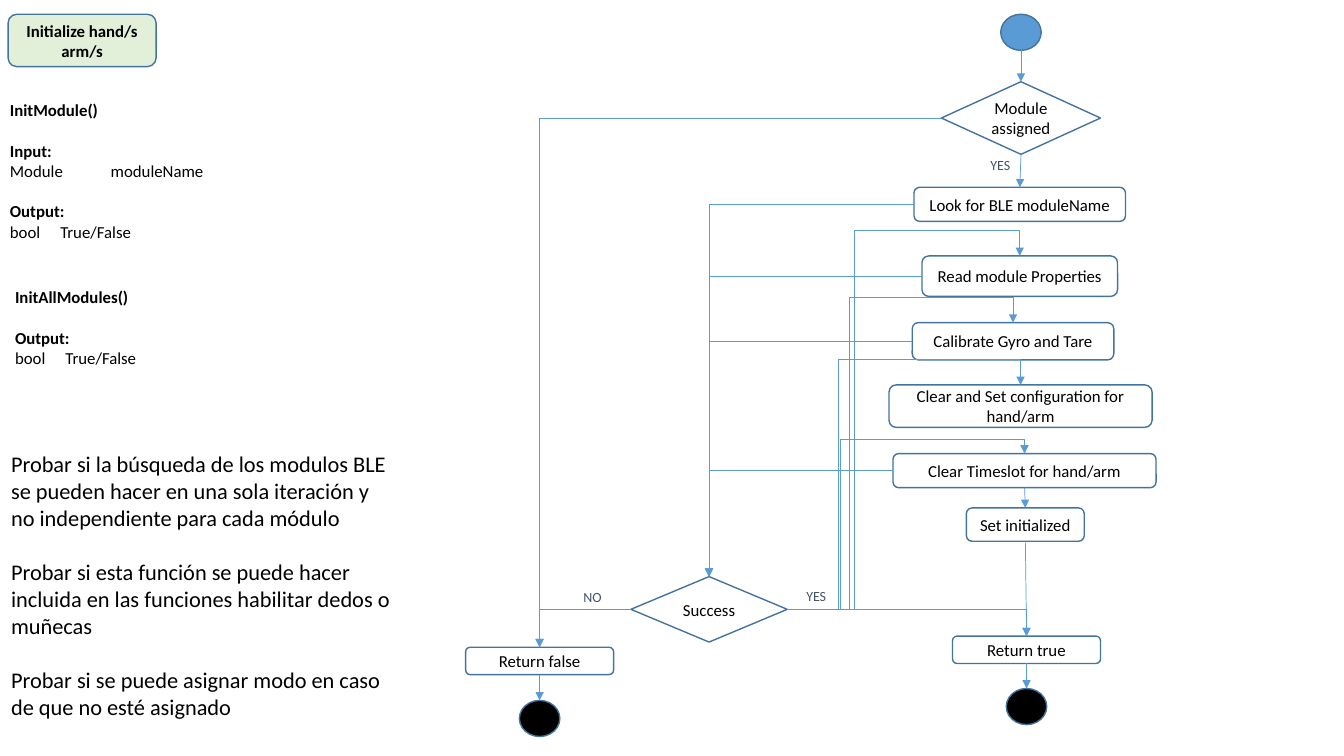
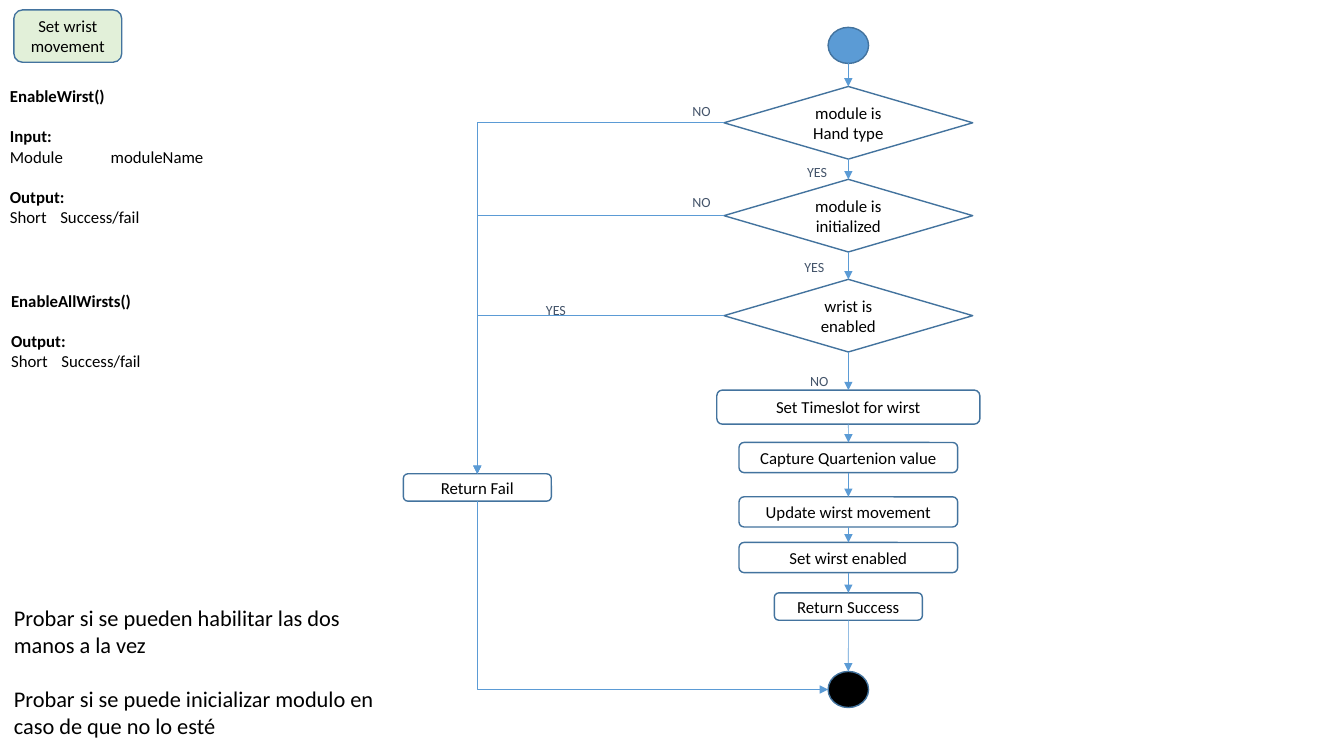
"""Build two flowchart slides: module initialisation and wrist movement."""
from dataclasses import dataclass
from itertools import pairwise

from lxml import etree
from pptx import Presentation
from pptx.dml.color import RGBColor
from pptx.enum import shapes, text
from pptx.oxml import ns
from pptx.util import Cm, Pt


@dataclass(frozen=True)
class Theme:
    font: str = "Calibri"
    ink: RGBColor = RGBColor.from_string("000000")
    label_ink: RGBColor = RGBColor.from_string("44546A")
    outline: RGBColor = RGBColor.from_string("43739E")
    accent: RGBColor = RGBColor.from_string("5B9BD5")
    heading_fill: RGBColor = RGBColor.from_string("E2F0D9")
    body: int = 12
    note: int = 16
    label: int = 10
    leading: float = 1.22


theme = Theme()
TOP, LEFT, BOTTOM, RIGHT = range(4)
DOWN, UP = "tailEnd", "headEnd"
box, diamond, oval = (shapes.MSO_SHAPE.ROUNDED_RECTANGLE, shapes.MSO_SHAPE.DIAMOND,
                      shapes.MSO_SHAPE.OVAL)
looks = {
    "heading": (box, theme.heading_fill, False),
    "bold heading": (box, theme.heading_fill, True),
    "step": (box, None, False),
    "test": (diamond, None, False),
    "start": (oval, theme.accent, False),
    "end": (oval, theme.ink, False),
}
dot = (1.02, 0.91)
small = (3.73, 0.69)
wide = (6.63, 0.86)
medium = (5.51, 0.76)
question = (6.27, 1.83)
axis = 21.38

init_steps = ["Look for BLE moduleName", "Read module Properties",
              "Calibrate Gyro and Tare", "Clear Timeslot for hand/arm"]
wrist_tests = ["module is Hand type", "module is initialized", "wrist is enabled"]
wrist_steps = ["Set Timeslot for wirst", "Capture Quartenion value",
               "Update wirst movement", "Set wirst enabled", "Return Success"]

deck = [
    dict(
        nodes=[
            ("bold heading", "Initialize hand/s arm/s", 2.07, 0.36, 3.73, 1.32),
            ("start", "start", 25.73, 0.36, *dot),
            ("test", "Module assigned", 25.73, 2.06, 4.01, 1.83),
            ("step", init_steps[0], 25.7, 4.72, 5.33, 0.86),
            ("step", init_steps[1], 25.7, 6.45, 4.93, 1.02),
            ("step", init_steps[2], 25.53, 8.13, 5.08, 0.94),
            ("step", "Clear and Set configuration for hand/arm", 25.72, 9.7, 6.63, 1.07),
            ("step", init_steps[3], 25.82, 11.43, *wide),
            ("step", "Set initialized", 25.84, 12.8, 2.97, 0.84),
            ("test", "Success", 17.87, 14.53, 3.94, 1.65),
            ("step", "Return true", 25.87, 16.03, *small),
            ("step", "Return false", 13.6, 16.31, *small),
            ("end", "end true", 25.87, 17.35, *dot),
            ("end", "end false", 13.6, 17.65, *dot),
        ],
        chains=[
            ["start", "Module assigned", init_steps[0]],
            [init_steps[3], "Set initialized", "Return true", "end true"],
            ["Return false", "end false"],
        ],
        bends=[
            *((step, LEFT, "Success", TOP, DOWN) for step in init_steps),
            ("Module assigned", LEFT, "Return false", TOP, DOWN),
            ("Success", LEFT, "Return false", TOP, DOWN),
            ("Success", RIGHT, "Return true", TOP, DOWN),
        ],
        detours=[
            ("Success", init_steps[1], 21.54, 0.64),
            ("Success", init_steps[2], 21.41, 0.64),
            ("Success", "Clear and Set configuration for hand/arm", 21.13, 0.64),
            ("Success", init_steps[3], 21.18, 0.37),
        ],
        labels=[("YES", 20.07, 14.68), ("NO", 14.45, 14.71), ("YES", 24.71, 3.81)],
        signatures=[
            (0, 2.39, 5.51, 3.84, ["InitModule()", "Input: ", "Module \tmoduleName",
                                   "Output: ", "bool\tTrue/False"]),
            (0.13, 7.11, 5.51, 2.31, ["InitAllModules()", "Output: ", "bool\tTrue/False"]),
        ],
        notes=(0.03, 11.23, 10.06, 7.09, [
            "Probar si la búsqueda de los modulos BLE se pueden hacer en una sola "
            "iteración y no independiente para cada módulo",
            "Probar si esta función se puede hacer incluida en las funciones habilitar "
            "dedos o muñecas",
            "Probar si se puede asignar modo en caso de que no esté asignado",
        ]),
    ),
    dict(
        nodes=[
            ("heading", "Set wrist movement", 1.71, 0.25, 2.72, 1.32),
            ("start", "start", axis, 0.69, *dot),
            *(("test", name, axis, top, *question)
              for name, top in zip(wrist_tests, (2.18, 4.52, 7.04))),
            ("step", wrist_steps[0], axis, 9.83, *wide),
            *(("step", name, axis, top, *medium)
              for name, top in zip(wrist_steps[1:4], (11.15, 12.52, 13.67))),
            ("step", wrist_steps[4], axis, 14.94, *small),
            ("step", "Return Fail", 12.03, 11.94, *small),
            ("end", "end", axis, 16.92, *dot),
        ],
        chains=[["start", *wrist_tests, *wrist_steps, "end"]],
        bends=[
            *((test, LEFT, "Return Fail", TOP, DOWN) for test in wrist_tests),
            ("end", LEFT, "Return Fail", BOTTOM, UP),
        ],
        detours=[],
        labels=[("YES", 20.09, 3.99), ("NO", 17.2, 2.46), ("NO", 20.17, 9.25),
                ("YES", 20.02, 6.38), ("YES", 13.51, 7.47), ("NO", 17.2, 4.75)],
        signatures=[
            (0, 2.03, 5.79, 3.84, ["EnableWirst()", "Input: ", "Module\tmoduleName",
                                   "Output: ", "Short \tSuccess/fail"]),
            (0.03, 7.19, 5.79, 2.31, ["EnableAllWirsts()", "Output: ",
                                      "Short \tSuccess/fail"]),
        ],
        notes=(0.1, 15.09, 10.06, 3.68, [
            "Probar si se pueden habilitar las dos manos a la vez",
            "Probar si se puede inicializar modulo en caso de que no lo esté",
        ]),
    ),
]


def write(frame, lines, size, color=theme.ink, bold=(), gaps=(), align=None):
    """Fill a text frame, with bold lines and a line of space before some."""
    for index, line in enumerate(lines):
        paragraph = frame.paragraphs[0] if index == 0 else frame.add_paragraph()
        paragraph.text = line
        paragraph.alignment = align
        paragraph.font.name = theme.font
        paragraph.font.size = Pt(size)
        paragraph.font.color.rgb = color
        paragraph.font.bold = line in bold
        if line in gaps:
            paragraph.space_before = Pt(round(size * theme.leading, 1))


def link(slide, start, start_side, end, end_side, preset="line", arrow=DOWN):
    """Glue an arrow between the sides of two nodes."""
    connector = slide.shapes.add_connector(shapes.MSO_CONNECTOR.STRAIGHT, 0, 0, 0, 0)
    connector.begin_connect(start, start_side)
    connector.end_connect(end, end_side)
    for node, side, tag in ((start, start_side, "a:stCxn"), (end, end_side, "a:endCxn")):
        if node.auto_shape_type == oval:
            glue = next(connector._element.iter(ns.qn(tag)))
            glue.set("idx", str(2 * side))
    connector.line.color.rgb = theme.accent
    connector.line.width = Pt(0.5)
    etree.SubElement(connector.line._get_or_add_ln(), ns.qn(f"a:{arrow}"), type="triangle")
    properties = connector._element.spPr
    etree.SubElement(properties, ns.qn("a:effectLst"))
    properties.find(ns.qn("a:prstGeom")).set("prst", preset)
    return connector


deck_file = Presentation()
deck_file.slide_width, deck_file.slide_height = Cm(33.87), Cm(19.05)

for page in deck:
    slide = deck_file.slides.add_slide(deck_file.slide_layouts[6])

    nodes = {}
    for look, name, center, top, width, height in page["nodes"]:
        outline, fill, bold = looks[look]
        node = slide.shapes.add_shape(outline, Cm(center - width / 2), Cm(top),
                                      Cm(width), Cm(height))
        node.shadow.inherit = False
        node.line.color.rgb = theme.outline
        node.line.width = Pt(1)
        if fill is None:
            node.fill.background()
        else:
            node.fill.solid()
            node.fill.fore_color.rgb = fill
        if outline != oval:
            node.text_frame.word_wrap = True
            node.text_frame.vertical_anchor = text.MSO_ANCHOR.MIDDLE
            write(node.text_frame, [name], theme.body, bold=[name] if bold else (),
                  align=text.PP_ALIGN.CENTER)
        nodes[name] = node

    for chain in page["chains"]:
        for upper, lower in pairwise(chain):
            link(slide, nodes[upper], BOTTOM, nodes[lower], TOP)

    for start, start_side, end, end_side, arrow in page["bends"]:
        link(slide, nodes[start], start_side, nodes[end], end_side, "bentConnector2", arrow)

    for start, end, lane, rise in page["detours"]:
        detour = link(slide, nodes[start], RIGHT, nodes[end], TOP, "bentConnector4")
        across = (Cm(lane) - detour.begin_x) / detour.width
        over = 1 + Cm(rise) / detour.height
        guides = next(detour._element.iter(ns.qn("a:avLst")))
        for guide, share in (("adj1", across), ("adj2", over)):
            etree.SubElement(guides, ns.qn("a:gd"), name=guide,
                             fmla=f"val {round(share * 100000)}")

    for answer, left, top in page["labels"]:
        label = slide.shapes.add_textbox(Cm(left), Cm(top), Cm(1.02), Cm(0.69)).text_frame
        label.word_wrap = False
        label.auto_size = text.MSO_AUTO_SIZE.SHAPE_TO_FIT_TEXT
        write(label, [answer], theme.label, theme.label_ink)

    *notes_area, remarks = page["notes"]
    passages = [(area, lines, theme.body, [line for line in lines if "\t" not in line],
                 ("Input: ", "Output: ")) for *area, lines in page["signatures"]]
    passages.append((notes_area, remarks, theme.note, (), remarks[1:]))
    for area, lines, size, bold, gaps in passages:
        passage = slide.shapes.add_textbox(*map(Cm, area)).text_frame
        passage.word_wrap = True
        passage.auto_size = text.MSO_AUTO_SIZE.SHAPE_TO_FIT_TEXT
        write(passage, lines, size, bold=bold, gaps=gaps)

deck_file.save("out.pptx")
